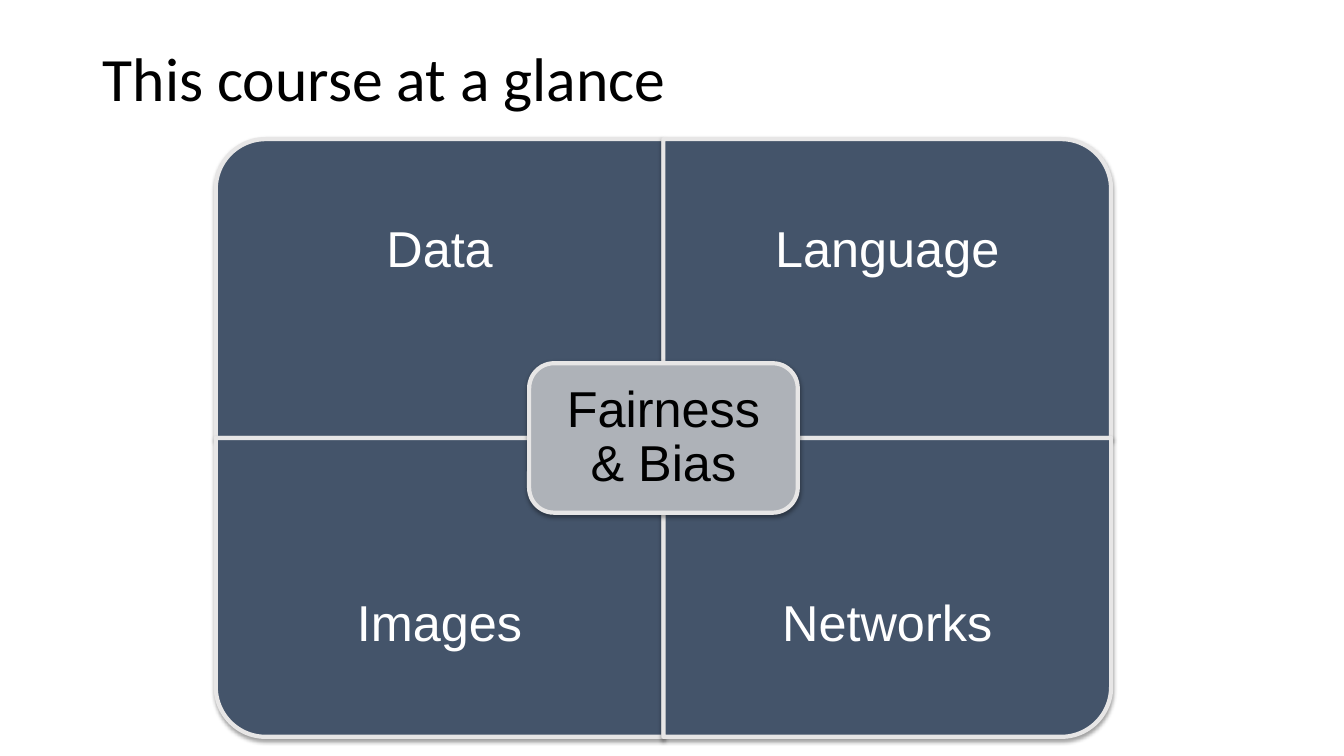
from lxml import etree
from pptx import Presentation
from pptx.dml.color import RGBColor
from pptx.enum.shapes import MSO_SHAPE
from pptx.enum.text import MSO_ANCHOR, MSO_AUTO_SIZE, PP_ALIGN
from pptx.oxml.ns import qn
from pptx.util import Inches, Pt

TITLE = "This course at a glance"
# topic, column, row, rotation that turns the round corner outwards
TOPICS = [
    ("Data", 0, 0, 270),
    ("Language", 1, 0, 0),
    ("Images", 0, 1, 180),
    ("Networks", 1, 1, 90),
]
CORE = "Fairness & Bias"

LEFT, TOP = 2.14, 1.38
QUAD_W, QUAD_H = 4.44, 2.965
LABEL_H = QUAD_H * 0.75
CORE_W, CORE_H = QUAD_W * 0.6, QUAD_H * 0.5
CORE_PAD = 0.07
NAVY, SILVER, EDGE = "44546A", "AEB2B8", "E7E6E6"
WHITE, BLACK = "FFFFFF", "000000"


def rgb(color):
    return RGBColor.from_string(color)


def add_shadow(shape):
    shape.shadow.inherit = False
    effects = shape._element.spPr.find(qn("a:effectLst"))
    outer = etree.SubElement(effects, qn("a:outerShdw"), blurRad=str(Pt(3.1)),
                             dist=str(Pt(1.6)), dir="5400000", rotWithShape="0")
    color = etree.SubElement(outer, qn("a:srgbClr"), val=BLACK)
    etree.SubElement(color, qn("a:alpha"), val="37000")


def add_panel(shapes, kind, x, y, w, h, fill, rotation=0):
    """Add a bordered panel covering x, y, w, h after its rotation."""
    cx, cy = x + w / 2, y + h / 2
    if rotation % 180:
        w, h = h, w
    panel = shapes.add_shape(kind, Inches(cx - w / 2), Inches(cy - h / 2), Inches(w), Inches(h))
    panel.rotation = rotation
    panel.adjustments[0] = 0.167
    panel.fill.solid()
    panel.fill.fore_color.rgb = rgb(fill)
    panel.line.color.rgb = rgb(EDGE)
    panel.line.width = Pt(3)
    add_shadow(panel)


def style_text(tf, text, font, size, color, align, margins):
    tf.word_wrap = True
    tf.auto_size = MSO_AUTO_SIZE.NONE
    tf.vertical_anchor = MSO_ANCHOR.MIDDLE
    tf.margin_left = tf.margin_right = Inches(margins[0])
    tf.margin_top = tf.margin_bottom = Inches(margins[1])
    tf.text = text
    p = tf.paragraphs[0]
    p.alignment = align
    p.line_spacing = 0.9
    p.font.name = font
    p.font.size = Pt(size)
    p.font.color.rgb = rgb(color)


def add_label(shapes, text, x, y, w, h, color, margin):
    box = shapes.add_textbox(Inches(x), Inches(y), Inches(w), Inches(h))
    style_text(box.text_frame, text, "Arial", 36, color, PP_ALIGN.CENTER, (margin, margin))


def main():
    prs = Presentation()
    prs.slide_width, prs.slide_height = Inches(13.33), Inches(7.5)
    s = prs.slides.add_slide(prs.slide_layouts[5])

    title = s.shapes.title
    title.left, title.top = Inches(0.92), Inches(0.08)
    title.width, title.height = Inches(11.5), Inches(1.45)
    style_text(title.text_frame, TITLE, "Calibri", 44, BLACK, PP_ALIGN.LEFT, (0.1, 0.05))

    matrix = s.shapes.add_group_shape().shapes
    for topic, col, row, rotation in TOPICS:
        x, y = LEFT + col * QUAD_W, TOP + row * QUAD_H
        add_panel(matrix, MSO_SHAPE.ROUND_1_RECTANGLE, x, y, QUAD_W, QUAD_H, NAVY, rotation)
        label_y = y + row * (QUAD_H - LABEL_H)
        add_label(matrix, topic, x, label_y, QUAD_W, LABEL_H, WHITE, 0.28)

    x, y = LEFT + QUAD_W - CORE_W / 2, TOP + QUAD_H - CORE_H / 2
    add_panel(matrix, MSO_SHAPE.ROUNDED_RECTANGLE, x, y, CORE_W, CORE_H, SILVER)
    add_label(matrix, CORE, x + CORE_PAD, y + CORE_PAD,
              CORE_W - 2 * CORE_PAD, CORE_H - 2 * CORE_PAD, BLACK, 0.15)

    prs.save("out.pptx")


if __name__ == "__main__":
    main()
